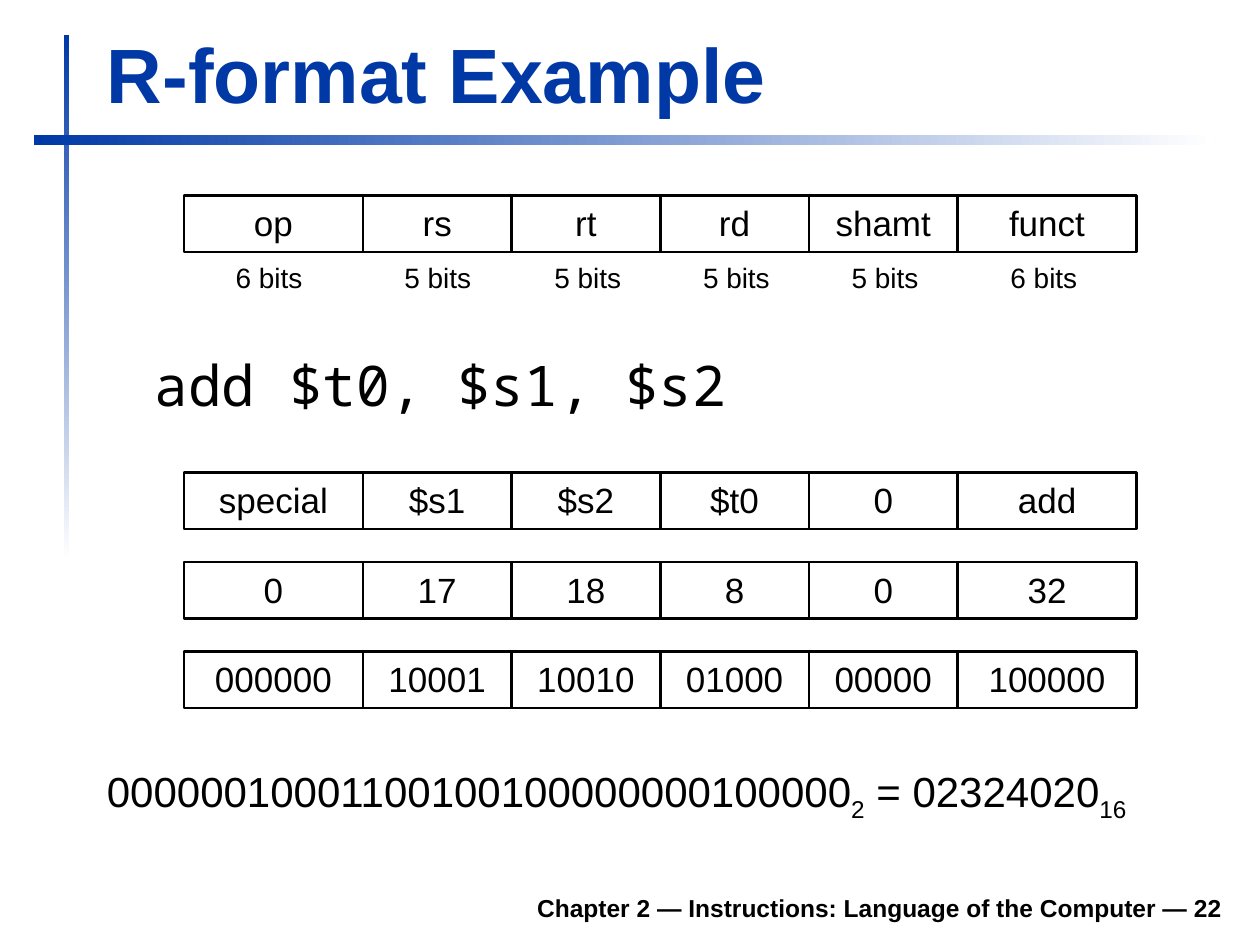
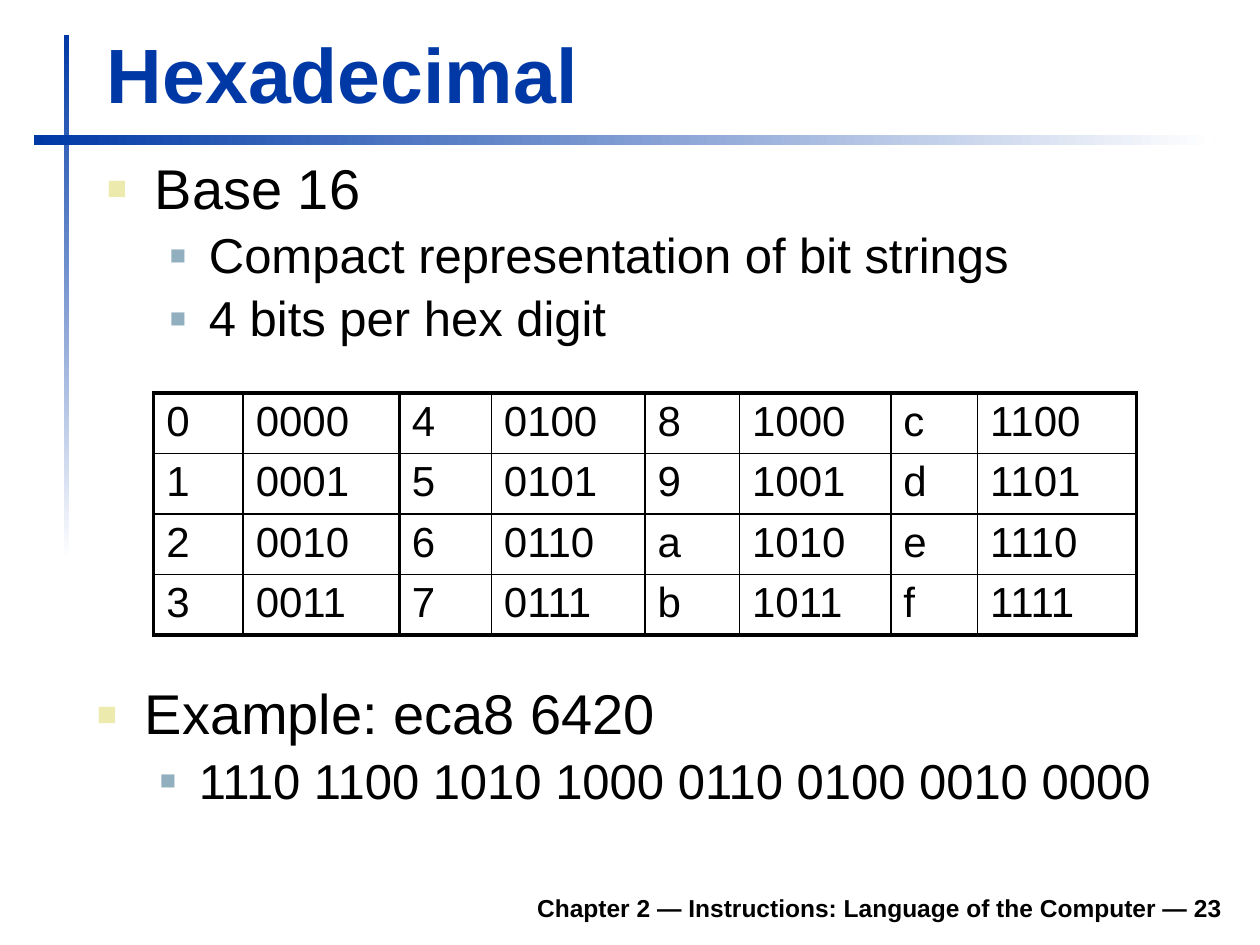
import itertools

import lxml.etree
import pptx
import pptx.dml.color
import pptx.enum.shapes
import pptx.enum.text
import pptx.oxml.ns
import pptx.util

ALIGN = pptx.enum.text.PP_ALIGN
ANCHOR = pptx.enum.text.MSO_ANCHOR
EMU_PER_PX = 9144
FIELD_WIDTHS = [142, 118, 118, 118, 118, 142]
FIELD_LEFTS = list(itertools.accumulate(FIELD_WIDTHS[:-1], initial=146))


def px(length):
    return pptx.util.Emu(length * EMU_PER_PX)


def rgb(color):
    return pptx.dml.color.RGBColor.from_string(color)


def sub(parent, tag, **attributes):
    return lxml.etree.SubElement(parent, pptx.oxml.ns.qn(tag), attributes)


class Deck:
    """Holds the lecture style and the slide being drawn."""

    blue, black, white = "0039A6", "000000", "FFFFFF"
    sans, mono = "Arial", "Noto Sans Mono"
    levels = [
        dict(size=32, margin=38, hang=38, color="ECEAAC", percent=60),
        dict(size=28, margin=81, hang=31, color="91AFBF", percent=55),
    ]

    def __init__(self):
        self.deck = pptx.Presentation()
        self.deck.slide_width, self.deck.slide_height = px(1000), px(750)
        self.slide = None

    def new_slide(self, title, number):
        self.slide = self.deck.slides.add_slide(self.deck.slide_layouts[6])
        self.band(51, 28, 4, 417, 270)
        self.band(27, 107, 937, 8, 0)
        self.text(185, 698, 795, 39, f"Chapter 2 — Instructions: Language of the Computer — {number}",
                  14, align=ALIGN.RIGHT, anchor=ANCHOR.BOTTOM, bold=True)
        self.text(75, 16, 903, 83, title, 44, anchor=ANCHOR.BOTTOM, bold=True, color=self.blue)

    def rectangle(self, left, top, width, height):
        shape = self.slide.shapes.add_shape(
            pptx.enum.shapes.MSO_SHAPE.RECTANGLE, px(left), px(top), px(width), px(height))
        shape.shadow.inherit = False
        return shape

    def band(self, left, top, width, height, angle):
        band = self.rectangle(left, top, width, height)
        band.line.fill.background()
        band.fill.gradient()
        band.fill.gradient_angle = angle
        for stop, color in zip(band.fill.gradient_stops, (self.blue, self.white)):
            stop.color.rgb = rgb(color)

    def style(self, paragraph, size, font=None, color=None, bold=False):
        paragraph.font.size = pptx.util.Pt(size)
        paragraph.font.name = font or self.sans
        paragraph.font.bold = bold
        paragraph.font.color.rgb = rgb(color or self.black)

    def frame(self, left, top, width, height, wrap=True, anchor=ANCHOR.TOP):
        frame = self.slide.shapes.add_textbox(px(left), px(top), px(width), px(height)).text_frame
        frame.word_wrap = wrap
        frame.vertical_anchor = anchor
        return frame

    def text(self, left, top, width, height, words, size, align=ALIGN.LEFT,
             anchor=ANCHOR.TOP, wrap=True, space=0, **look):
        paragraph = self.frame(left, top, width, height, wrap, anchor).paragraphs[0]
        paragraph.text = words
        paragraph.alignment = align
        paragraph.space_before = pptx.util.Pt(space)
        self.style(paragraph, size, **look)
        return paragraph

    def equation(self, left, top, width, height, parts, size):
        paragraph = self.text(left, top, width, height, "", size, space=size / 5)
        for number, base in parts:
            paragraph.add_run().text = number
            subscript = paragraph.add_run()
            subscript.text = base
            subscript.font._element.set("baseline", "-25000")

    def fields(self, top, values):
        for left, width, value in zip(FIELD_LEFTS, FIELD_WIDTHS, values):
            field = self.rectangle(left, top, width, 45)
            field.fill.background()
            field.line.color.rgb = rgb(self.black)
            field.line.width = pptx.util.Pt(1.5)
            field.text_frame.vertical_anchor = ANCHOR.TOP
            paragraph = field.text_frame.paragraphs[0]
            paragraph.text = value
            paragraph.alignment = ALIGN.CENTER
            self.style(paragraph, 20)

    def outline(self, left, top, width, height, items):
        frame = self.frame(left, top, width, height)
        for index, (level, words) in enumerate(items):
            paragraph = frame.add_paragraph() if index else frame.paragraphs[0]
            look = self.levels[level]
            paragraph.text = words
            paragraph.level = level
            paragraph.line_spacing = 0.9
            paragraph.space_before = pptx.util.Pt(look["size"] / 5)
            properties = paragraph._p.get_or_add_pPr()
            properties.set("marL", str(px(look["margin"])))
            properties.set("indent", str(px(-look["hang"])))
            sub(sub(properties, "a:buClr"), "a:srgbClr", val=look["color"])
            sub(properties, "a:buSzPct", val=str(look["percent"] * 1000))
            sub(properties, "a:buFont", typeface=self.sans)
            sub(properties, "a:buChar", char="■")
            self.style(paragraph, look["size"])

    def borders(self, cell, widths):
        properties = cell._tc.get_or_add_tcPr()
        for side, width in zip("LRTB", widths):
            line = sub(properties, f"a:ln{side}", w=str(pptx.util.Pt(width)))
            sub(sub(line, "a:solidFill"), "a:srgbClr", val=self.black)

    def table(self, left, top, widths, row_height, rows):
        table = self.slide.shapes.add_table(
            len(rows), len(widths), px(left), px(top),
            px(sum(widths)), px(row_height * len(rows))).table
        table.first_row = table.horz_banding = False
        for column, width in zip(table.columns, widths):
            column.width = px(width)
        uprights = [1.5 if edge % 2 == 0 else 1 for edge in range(len(widths) + 1)]
        levels = [1] * (len(rows) + 1)
        for edges in (uprights, levels):
            edges[0] = edges[-1] = 2.25
        for y, row in enumerate(rows):
            table.rows[y].height = px(row_height)
            for x, value in enumerate(row):
                cell = table.cell(y, x)
                cell.margin_top = cell.margin_bottom = px(4)
                self.borders(cell, uprights[x:x + 2] + levels[y:y + 2])
                cell.fill.background()
                cell.text = value
                self.style(cell.text_frame.paragraphs[0], 24)


def r_format(deck):
    deck.new_slide("R-format Example", 22)
    instruction = deck.text(75, 273, 905, 71, "add $t0, $s1, $s2", 32, space=6.4, font=deck.mono)
    instruction._p.get_or_add_pPr().set("marL", str(px(38)))
    encodings = [
        ["special", "$s1", "$s2", "$t0", "0", "add"],
        ["0", "17", "18", "8", "0", "32"],
        ["000000", "10001", "10010", "01000", "00000", "100000"],
    ]
    for index, encoding in enumerate(encodings):
        deck.fields(375 + 71 * index, encoding)
    deck.equation(75, 603, 890, 55,
                  [("00000010001100100100000000100000", "2"), (" = 02324020", "16")], 24)
    deck.fields(155, ["op", "rs", "rt", "rd", "shamt", "funct"])
    for left, bits in zip([177, 311, 430, 548, 666, 792], [6, 5, 5, 5, 5, 6]):
        deck.text(left, 202, 73, 37, f"{bits} bits", 16, align=ALIGN.CENTER, wrap=False)


def hexadecimal(deck):
    deck.new_slide("Hexadecimal", 23)
    deck.outline(75, 123, 905, 173, [
        (0, "Base 16"),
        (1, "Compact representation of bit strings"),
        (1, "4 bits per hex digit"),
    ])
    digits = [[form for value in range(row, 16, 4) for form in (f"{value:x}", f"{value:04b}")]
              for row in range(4)]
    deck.table(122, 312, [71, 124, 73, 122, 75, 120, 69, 126], 47, digits)
    deck.outline(67, 540, 905, 126, [
        (0, "Example: eca8 6420"),
        (1, "1110 1100 1010 1000 0110 0100 0010 0000"),
    ])


def main():
    deck = Deck()
    r_format(deck)
    hexadecimal(deck)
    deck.deck.save("out.pptx")


if __name__ == "__main__":
    main()
